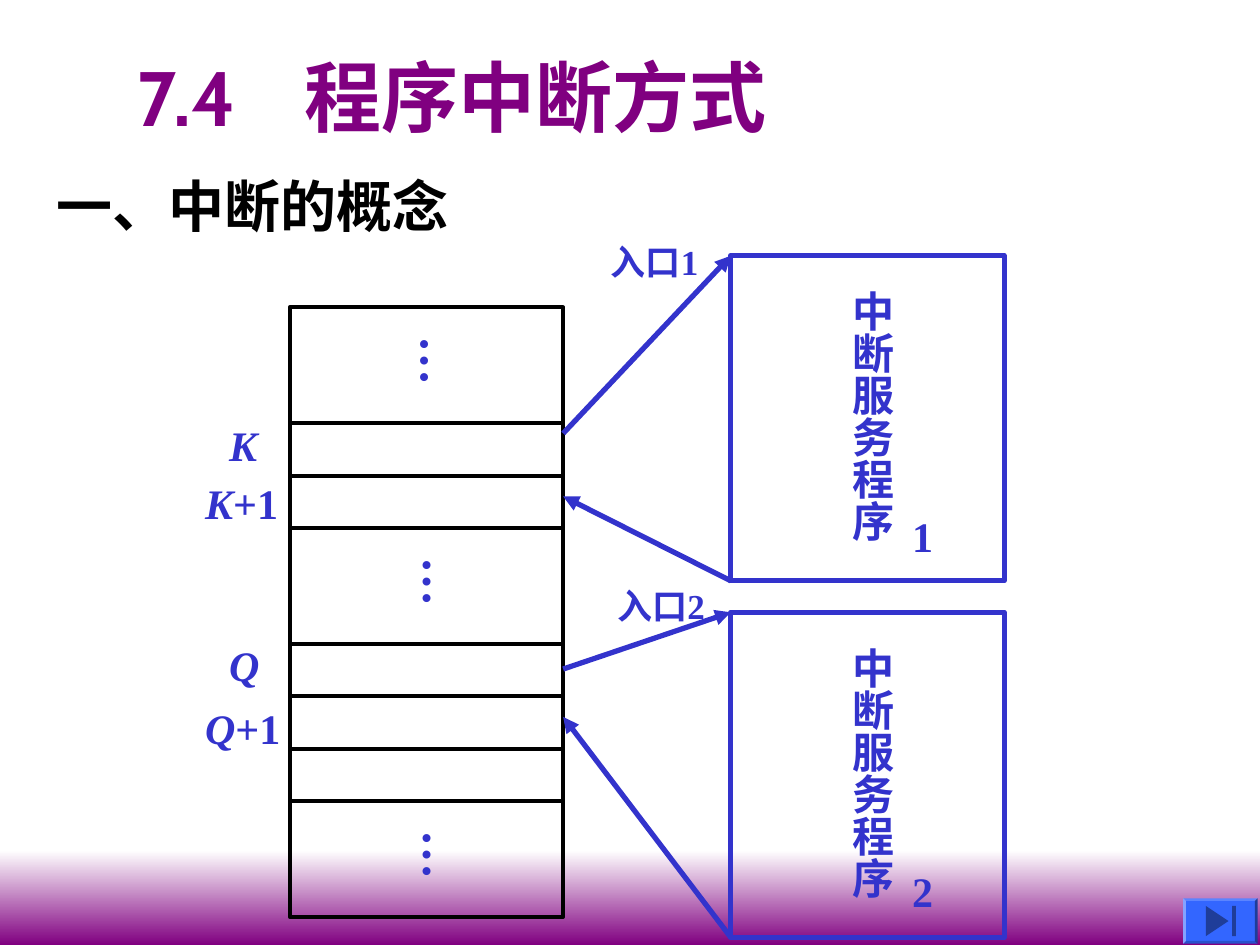
from dataclasses import dataclass
from itertools import accumulate

from lxml.etree import SubElement as Sub
from pptx import Presentation
from pptx.dml.color import RGBColor as Rgb
from pptx.enum.shapes import MSO_CONNECTOR as Conn, MSO_SHAPE as Kind
from pptx.enum.text import MSO_ANCHOR as Anchor, MSO_AUTO_SIZE as Auto, PP_ALIGN as Align
from pptx.oxml.ns import qn
from pptx.util import Inches as Inch, Pt


@dataclass(frozen=True)
class Theme:
    ink: str = "000000"
    blue: str = "3333CC"
    plum: str = "800080"
    white: str = "FFFFFF"
    button: str = "3366FF"
    icon: str = "1F3D99"
    body: str = "Times New Roman"
    head: str = "Cabin"
    title: int = 44
    topic: int = 32
    dots: int = 28
    label: int = 24
    entry: int = 20
    thin: float = 2.25
    thick: float = 3


T = Theme()
WIDE, HIGH = 10, 7.5
LEFT, RIGHT, SPAN = 2.3, 5.8, 2.17
EDGE = LEFT + SPAN
TOP, UNIT = 2.44, 0.417
ROWS = [2.2, 1, 1, 2.2, 1, 1, 1, 2.2]
STARTS = [TOP + UNIT * n for n in accumulate(ROWS, initial=0)]
TALL = 2.58


def color(code):
    return Rgb.from_string(code)


def write(para, text, size=T.label, font=T.body, ink=T.blue, slant=False):
    run = para.add_run()
    run.text = text
    face = run.font
    face.size, face.name = Pt(size), font
    face.bold, face.italic = True, slant
    face.color.rgb = color(ink)


def label(slide, area, text, tail="", upright=False, wrap=False, **form):
    box = slide.shapes.add_textbox(*map(Inch, area))
    frame = box.text_frame
    frame.word_wrap = wrap
    frame.auto_size = Auto.SHAPE_TO_FIT_TEXT
    if upright:
        frame.margin_left = frame.margin_right = Inch(0.05)
        frame.margin_top = frame.margin_bottom = Inch(0.1)
        box.element.txBody.bodyPr.set("vert", "eaVert")
    para = frame.paragraphs[0]
    write(para, text, **form)
    if tail:
        write(para, tail, **{**form, "slant": False})


def shape(slide, kind, area, fill=None):
    item = slide.shapes.add_shape(kind, *map(Inch, area))
    item.shadow.inherit = False
    if fill:
        item.fill.solid()
        item.fill.fore_color.rgb = color(fill)
        item.line.fill.background()
    return item


def frame(slide, area, ink, width):
    item = shape(slide, Kind.RECTANGLE, area)
    item.fill.background()
    item.line.color.rgb = color(ink)
    item.line.width = Pt(width)


def arrow(slide, start, end):
    link = slide.shapes.add_connector(Conn.STRAIGHT, *map(Inch, start + end))
    link.line.color.rgb = color(T.blue)
    link.line.width = Pt(T.thick)
    Sub(link.line._get_or_add_ln(), qn("a:tailEnd"), type="triangle")
    Sub(link.element.spPr, qn("a:effectLst"))


def band(slide):
    top = HIGH * 0.9
    item = shape(slide, Kind.RECTANGLE, (0, top, WIDE, HIGH - top))
    item.line.fill.background()
    item.fill.gradient()
    item.fill.gradient_angle = 270
    for stop, place, code in zip(item.fill.gradient_stops, (0, 1), (T.white, T.plum)):
        stop.position = place
        stop.color.rgb = color(code)


def title(slide):
    item = slide.shapes.title
    item.left, item.top, item.width, item.height = map(Inch, (0.99, 0.21, 8.5, 0.97))
    text = item.text_frame
    text.auto_size = Auto.NONE
    text.vertical_anchor = Anchor.BOTTOM
    para = text.paragraphs[0]
    para.alignment = Align.LEFT
    tabs = Sub(para._p.get_or_add_pPr(), qn("a:tabLst"))
    Sub(tabs, qn("a:tab"), pos=str(Inch(1.33)), algn="l")
    write(para, "7.4\t程序中断方式", size=T.title, font=T.head, ink=T.plum)


def memory(slide):
    for top, share in zip(STARTS, ROWS):
        frame(slide, (LEFT, top, SPAN, UNIT * share), T.ink, T.thin)
    for left, row in ((3.12, 0), (3.14, 3), (3.14, 7)):
        label(slide, (left, STARTS[row] + 0.13, 0.66, 0.49), "…", upright=True, size=T.dots)
    for name, first, second in (("K", 3.28, 3.74), ("Q", 5.03, 5.53)):
        label(slide, (1.72, first, 0.44, 0.5), name, slant=True)
        label(slide, (1.53, second, 0.82, 0.5), name, "+1", slant=True)


def service(slide, number, top, call, back, digit, entry, wrap):
    frame(slide, (RIGHT, top, SPAN, TALL), T.blue, T.thick)
    label(slide, (6.57, top + 0.18, 0.6, 2.1), "中断服务程序", upright=True)
    label(slide, (7.14, digit, 0.36, 0.5), number)
    arrow(slide, (EDGE, call), (RIGHT, top))
    arrow(slide, (RIGHT, top + TALL), (EDGE, back))
    label(slide, entry, f"入口{number}", wrap=wrap, size=T.entry)


def button(slide):
    face = shape(slide, Kind.BEVEL, (9.39, 7.13, 0.59, 0.36), T.button)
    face.adjustments[0] = 0.06
    play = shape(slide, Kind.ISOSCELES_TRIANGLE, (9.54, 7.22, 0.24, 0.18), T.icon)
    play.rotation = 90
    shape(slide, Kind.RECTANGLE, (9.78, 7.19, 0.03, 0.24), T.icon)


def main():
    deck = Presentation()
    deck.slide_width, deck.slide_height = Inch(WIDE), Inch(HIGH)
    slide = deck.slides.add_slide(deck.slide_layouts[5])
    band(slide)
    title(slide)
    label(slide, (0.35, 1.31, 4.03, 0.64), "一、中断的概念", wrap=True, size=T.topic, ink=T.ink)
    memory(slide)
    service(slide, "1", 2.03, 3.44, 3.94, 4, (4.75, 1.86, 0.96, 0.44), False)
    service(slide, "2", 4.86, 5.31, 5.69, 6.82, (4.8, 4.59, 1.17, 0.44), True)
    button(slide)
    deck.save("out.pptx")


if __name__ == "__main__":
    main()
